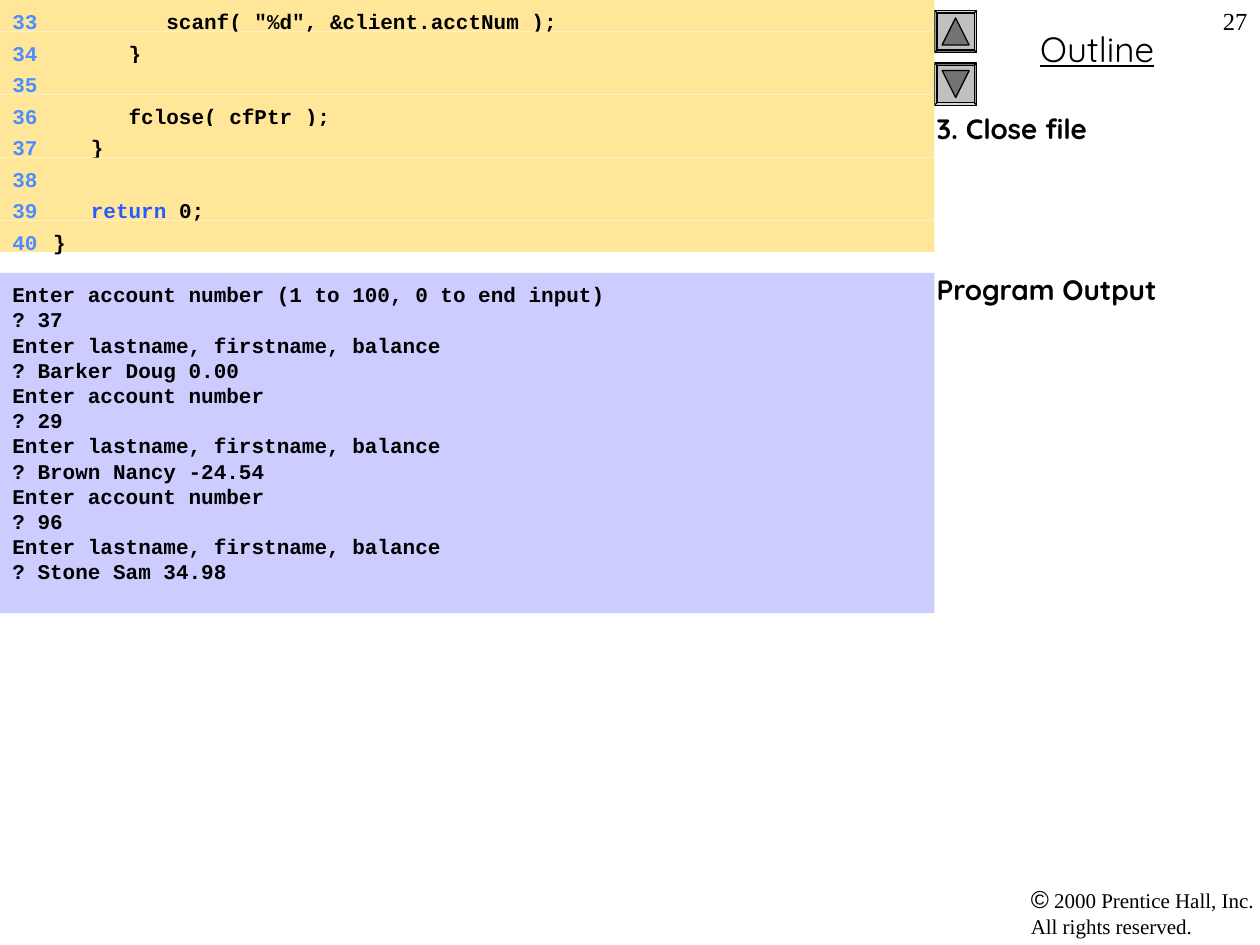
from pptx import Presentation
from pptx.dml.color import RGBColor
from pptx.enum import shapes, text
from pptx.oxml.ns import qn
from pptx.util import Cm, Pt

BLACK = RGBColor(0x00, 0x00, 0x00)
NUMBER_BLUE = RGBColor(0x4D, 0x8D, 0xFF)
KEYWORD_BLUE = RGBColor(0x27, 0x5A, 0xFF)
CODE_YELLOW = RGBColor(0xFF, 0xE6, 0x99)
OUTPUT_LILAC = RGBColor(0xCC, 0xCC, 0xFF)
BUTTON_GREY = RGBColor(0xC0, 0xC0, 0xC0)
ARROW_GREY = RGBColor(0x73, 0x73, 0x73)

CODE_FONT = "Courier New"
HEADING_FONT = "Quicksand"
SERIF_FONT = "Times New Roman"

FIRST_LINE = 33
CODE_LINES = [
    [('         scanf( "%d", &client.acctNum );', BLACK)],
    [("      }", BLACK)],
    [],
    [("      fclose( cfPtr );", BLACK)],
    [("   }", BLACK)],
    [],
    [("   ", BLACK), ("return", KEYWORD_BLUE), (" 0;", BLACK)],
    [("}", BLACK)],
]
OUTPUT_LINES = [
    "Enter account number (1 to 100, 0 to end input)",
    "? 37",
    "Enter lastname, firstname, balance",
    "? Barker Doug 0.00",
    "Enter account number",
    "? 29",
    "Enter lastname, firstname, balance",
    "? Brown Nancy -24.54",
    "Enter account number",
    "? 96",
    "Enter lastname, firstname, balance",
    "? Stone Sam 34.98",
]


def add_span(para, words, font, size, color=BLACK, bold=False):
    span = para.add_run()
    span.text = words
    span.font.name = font
    span.font.size = Pt(size)
    span.font.color.rgb = color
    span.font.bold = bold
    return span


def add_tabs(para, stops):
    """Give a paragraph tab stops, each a (position, alignment) pair."""
    properties = para._p.get_or_add_pPr()
    tabs = properties.makeelement(qn("a:tabLst"), {})
    properties.append(tabs)
    for position, align in stops:
        tabs.append(tabs.makeelement(qn("a:tab"), {"pos": str(position), "algn": align}))


def set_frame(shape, top=Cm(0.13), right=Cm(0.25)):
    frame = shape.text_frame
    frame.word_wrap = True
    frame.auto_size = text.MSO_AUTO_SIZE.NONE
    frame.vertical_anchor = text.MSO_ANCHOR.TOP
    frame.margin_left, frame.margin_right = Cm(0.25), right
    frame.margin_top, frame.margin_bottom = top, Cm(0.13)
    return frame


def place(shape, left, top, width, height):
    shape.left, shape.top, shape.width, shape.height = left, top, width, height


def add_panel(page, kind, box, fill, outline=None):
    shape = page.shapes.add_shape(kind, *box)
    shape.shadow.inherit = False
    shape.fill.solid()
    shape.fill.fore_color.rgb = fill
    if outline is None:
        shape.line.fill.background()
    else:
        shape.line.color.rgb = outline
        shape.line.width = Pt(0.75)
    return shape


def style_code(para):
    para.alignment = text.PP_ALIGN.LEFT
    para.line_spacing = Pt(14.4)


def add_listing(page, left, top, width, height):
    """Stack one numbered strip for each line of code."""
    row = height // len(CODE_LINES)
    for index, pieces in enumerate(CODE_LINES):
        box = (left, top + index * row, width, row)
        strip = add_panel(page, shapes.MSO_SHAPE.RECTANGLE, box, CODE_YELLOW)
        para = set_frame(strip, top=Cm(0.18)).paragraphs[0]
        add_tabs(para, [(Cm(0.5), "r"), (Cm(0.82), "l")])
        style_code(para)
        add_span(para, f"\t{FIRST_LINE + index}\t", CODE_FONT, 12, NUMBER_BLUE, True)
        for words, color in pieces:
            add_span(para, words, CODE_FONT, 12, color, True)


def add_output(page, *box):
    panel = add_panel(page, shapes.MSO_SHAPE.RECTANGLE, box, OUTPUT_LILAC)
    frame = set_frame(panel, top=Cm(0.18))
    for index, line in enumerate(OUTPUT_LINES):
        para = frame.add_paragraph() if index else frame.paragraphs[0]
        style_code(para)
        add_span(para, line, CODE_FONT, 12, bold=True)


def add_button(page, left, top, side, points_up):
    bevel = add_panel(page, shapes.MSO_SHAPE.BEVEL, (left, top, side, side), BUTTON_GREY, BLACK)
    bevel.adjustments[0] = 0.06
    bevel.rotation = 90 if points_up else 270
    arrow = round(side * 0.64)
    margin = (side - arrow) // 2
    box = (left + margin, top + margin, arrow, arrow)
    triangle = add_panel(page, shapes.MSO_SHAPE.ISOSCELES_TRIANGLE, box, ARROW_GREY, BLACK)
    triangle.rotation = 0 if points_up else 180


def fill_title(page, *box):
    title = page.shapes.title
    place(title, *box)
    para = set_frame(title).paragraphs[0]
    para.alignment = text.PP_ALIGN.CENTER
    add_span(para, "Outline", HEADING_FONT, 20).font.underline = True


def fill_topics(page, *box):
    topics = page.placeholders[1]
    place(topics, *box)
    frame = set_frame(topics)
    for index, (words, gap) in enumerate([("3. Close file", 0), ("Program Output", 72.5)]):
        para = frame.add_paragraph() if index else frame.paragraphs[0]
        para.alignment = text.PP_ALIGN.LEFT
        para.space_before = Pt(gap)
        add_span(para, words, HEADING_FONT, 16, bold=True)


def add_page_number(page, *box):
    para = set_frame(page.shapes.add_textbox(*box)).paragraphs[0]
    para.alignment = text.PP_ALIGN.RIGHT
    add_span(para, "27", SERIF_FONT, 14)


def add_copyright(page, *box):
    para = set_frame(page.shapes.add_textbox(*box), right=0).paragraphs[0]
    add_span(para, "©", "Arial", 14)
    add_span(para, " 2000 Prentice Hall, Inc.", SERIF_FONT, 12)
    para.add_line_break()
    add_span(para, "All rights reserved.", SERIF_FONT, 12)


def main():
    deck = Presentation()
    deck.slide_width, deck.slide_height = Cm(25.4), Cm(19.05)
    page = deck.slides.add_slide(deck.slide_layouts[0])
    code_width = Cm(18.84)
    side = Cm(0.85)

    fill_title(page, code_width, Cm(0.42), deck.slide_width - code_width, Cm(1.12))
    fill_topics(page, Cm(18.63), Cm(2.12), Cm(6.77), Cm(16.93))
    add_button(page, code_width, Cm(0.21), side, points_up=True)
    add_button(page, code_width, Cm(1.27), side, points_up=False)
    add_listing(page, 0, 0, code_width, Cm(5.08))
    add_output(page, 0, Cm(5.5), code_width, Cm(6.86))
    add_page_number(page, Cm(20.11), 0, Cm(5.29), Cm(1.27))
    add_copyright(page, Cm(20.53), Cm(17.7), Cm(4.87), Cm(1.35))
    deck.save("out.pptx")


if __name__ == "__main__":
    main()
